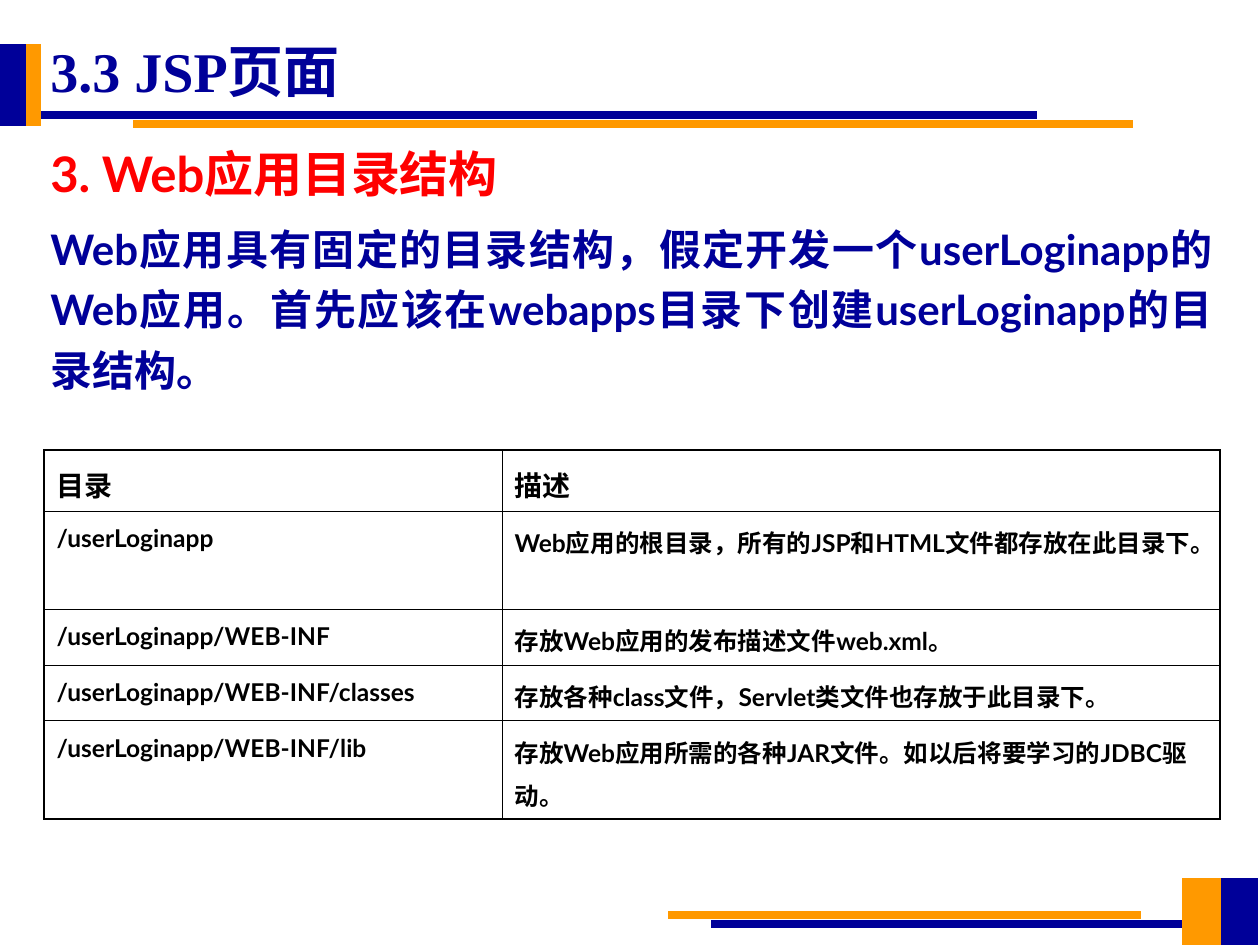
from dataclasses import dataclass

from lxml.etree import SubElement
from pptx import Presentation
from pptx.dml.color import RGBColor
from pptx.enum.shapes import MSO_SHAPE
from pptx.enum.text import MSO_ANCHOR, PP_ALIGN
from pptx.oxml.ns import qn
from pptx.util import Pt

PX = 914400 / 126  # EMU per px


@dataclass(frozen=True)
class Theme:
    navy: str = "000099"
    orange: str = "FF9900"
    red: str = "FF0000"
    black: str = "000000"
    title_font: str = "Times New Roman"
    body_font: str = "Lato"
    title: int = 32
    heading: int = 28
    body: int = 24
    table_head: int = 16
    table_body: int = 14
    outer_line: float = 1.08
    inner_line: float = 0.45
    spacing: float = 1.2


T = Theme()

# Content
TITLE = "3.3 JSP页面"
HEADING = "3. Web应用目录结构"
BODY = ("Web应用具有固定的目录结构，假定开发一个userLoginapp的Web应用。"
        "首先应该在webapps目录下创建userLoginapp的目录结构。")
ROWS = [
    ("目录", "描述"),
    ("/userLoginapp", "Web应用的根目录，所有的JSP和HTML文件都存放在此目录下。"),
    ("/userLoginapp/WEB-INF", "存放Web应用的发布描述文件web.xml。"),
    ("/userLoginapp/WEB-INF/classes", "存放各种class文件，Servlet类文件也存放于此目录下。"),
    ("/userLoginapp/WEB-INF/lib", "存放Web应用所需的各种JAR文件。如以后将要学习的JDBC驱动。"),
]

# Layout in px: left, top, width, height
BARS = [
    (1220, 879, 37, 66, T.navy), (669, 912, 471, 6, T.orange),
    (712, 921, 471, 6, T.navy), (1183, 879, 37, 66, T.orange),
    (38, 112, 998, 6, T.navy), (134, 121, 998, 6, T.orange),
    (0, 45, 25, 80, T.navy), (27, 45, 13, 80, T.orange),
]
TITLE_BOX = (38, 26, 1216, 88)
BODY_BOX = (38, 126, 1187, 278)
TABLE_AT = (44, 450)
COL_WIDTHS = [458, 718]
HEAD_ROW, ONE_LINE_ROW, TWO_LINE_ROW = 61, 56, 98
ROW_HEIGHTS = [HEAD_ROW, TWO_LINE_ROW, ONE_LINE_ROW, ONE_LINE_ROW, TWO_LINE_ROW]


def px(*values):
    return [round(v * PX) for v in values]


def style(p, size, color, font=T.body_font):
    f = p.font
    f.name, f.size, f.bold = font, Pt(size), True
    f.color.rgb = RGBColor.from_string(color)


def add_bar(s, x, y, w, h, color):
    sp = s.shapes.add_shape(MSO_SHAPE.RECTANGLE, *px(x, y, w, h))
    sp.shadow.inherit = False
    sp.fill.solid()
    sp.fill.fore_color.rgb = sp.line.color.rgb = RGBColor.from_string(color)
    sp.line.width = Pt(0.75)
    # Square corners
    SubElement(sp.line._get_or_add_ln(), qn("a:miter"), lim="800000")


def add_text_frame(s, box):
    tf = s.shapes.add_textbox(*px(*box)).text_frame
    tf.word_wrap = True
    return tf


def set_borders(cell, widths):
    tc_pr = cell._tc.get_or_add_tcPr()
    # Borders must come before the cell fill
    for i, (side, width) in enumerate(widths.items()):
        ln = SubElement(tc_pr, qn(f"a:ln{side}"), w=str(Pt(width)))
        fill = SubElement(ln, qn("a:solidFill"))
        SubElement(fill, qn("a:srgbClr"), val=T.black)
        tc_pr.insert(i, ln)


def add_directory_table(s):
    size = (sum(COL_WIDTHS), sum(ROW_HEIGHTS))
    n_rows, n_cols = len(ROWS), len(COL_WIDTHS)
    table = s.shapes.add_table(n_rows, n_cols, *px(*TABLE_AT, *size)).table
    table.first_row = table.horz_banding = False
    for col, width in zip(table.columns, px(*COL_WIDTHS)):
        col.width = width
    for row, height in zip(table.rows, px(*ROW_HEIGHTS)):
        row.height = height
    for r, texts in enumerate(ROWS):
        for c, text in enumerate(texts):
            cell = table.cell(r, c)
            cell.fill.background()
            edges = {"L": c == 0, "R": c == n_cols - 1,
                     "T": r == 0, "B": r == n_rows - 1}
            set_borders(cell, {side: T.outer_line if outer else T.inner_line
                               for side, outer in edges.items()})
            p = cell.text_frame.paragraphs[0]
            p.text, p.line_spacing = text, T.spacing
            style(p, T.table_body if r else T.table_head, T.black)


def main():
    prs = Presentation()
    prs.slide_width, prs.slide_height = px(1260, 945)
    s = prs.slides.add_slide(prs.slide_layouts[6])

    # Decorative bars
    for bar in BARS:
        add_bar(s, *bar)

    # Heading and introduction
    tf = add_text_frame(s, BODY_BOX)
    p = tf.paragraphs[0]
    p.text, p.line_spacing = HEADING, T.spacing
    style(p, T.heading, T.red)
    p = tf.add_paragraph()
    p.text, p.line_spacing = BODY, T.spacing
    p.space_before, p.alignment = Pt(6), PP_ALIGN.JUSTIFY
    style(p, T.body, T.navy)

    # Title
    tf = add_text_frame(s, TITLE_BOX)
    tf.vertical_anchor = MSO_ANCHOR.MIDDLE
    p = tf.paragraphs[0]
    p.text = TITLE
    style(p, T.title, T.navy, T.title_font)

    add_directory_table(s)
    prs.save("out.pptx")


if __name__ == "__main__":
    main()
